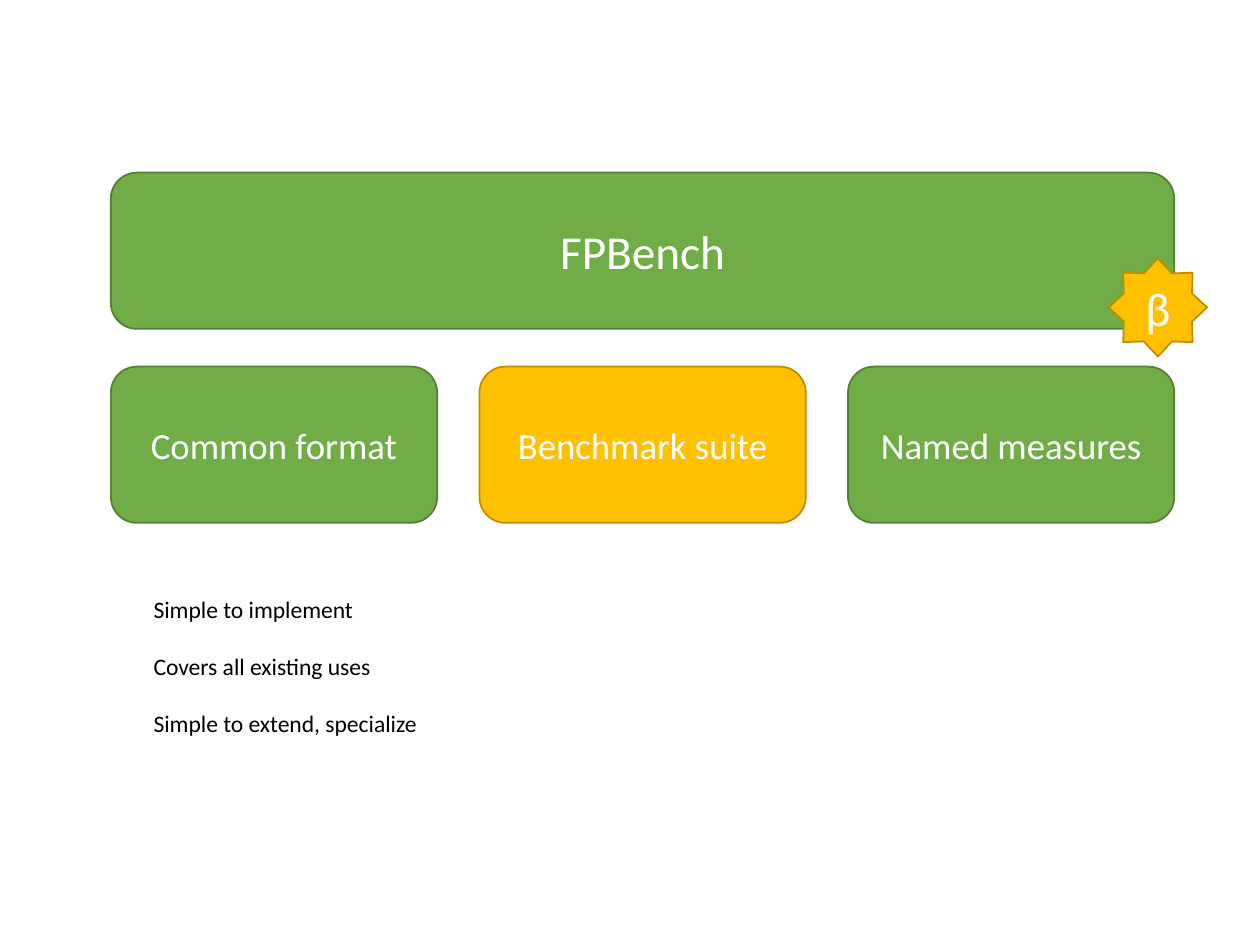
from pptx import Presentation
from pptx.dml.color import RGBColor
from pptx.enum.shapes import MSO_SHAPE as Preset
from pptx.enum.text import MSO_ANCHOR as Anchor, MSO_AUTO_SIZE as AutoSize, PP_ALIGN as Align
from pptx.util import Inches, Pt

GREEN = RGBColor(0x70, 0xAD, 0x47)
DARK_GREEN = RGBColor(0x53, 0x80, 0x35)
GOLD = RGBColor(0xFF, 0xC0, 0x00)
DARK_GOLD = RGBColor(0xBD, 0x8E, 0x00)
WHITE = RGBColor(0xFF, 0xFF, 0xFF)
BLACK = RGBColor(0x00, 0x00, 0x00)

DONE = (GREEN, DARK_GREEN)
BETA = (GOLD, DARK_GOLD)

LEFT = 0.88
COLUMN = 2.59
TOTAL = 8.44
PITCH = (TOTAL - COLUMN) / 2
ROW = 1.24
TITLE_TOP = 1.37
PARTS_TOP = 2.91
PARTS = [("Common format", DONE), ("Benchmark suite", BETA), ("Named measures", DONE)]
GOALS = ["Simple to implement", "Covers all existing uses", "Simple to extend, specialize"]


def write(paragraph, text, size, color=WHITE, align=Align.CENTER, spacing=1.0):
    paragraph.alignment = align
    paragraph.line_spacing = spacing
    run = paragraph.add_run()
    run.text = text
    run.font.name = "Calibri"
    run.font.size = Pt(size)
    run.font.color.rgb = color


def add_block(slide, preset, box, text, size, status):
    block = slide.shapes.add_shape(preset, *map(Inches, box))
    block.shadow.inherit = False
    fill, outline = status
    block.fill.solid()
    block.fill.fore_color.rgb = fill
    block.line.color.rgb = outline
    block.line.width = Pt(1)
    block.text_frame.vertical_anchor = Anchor.MIDDLE
    write(block.text_frame.paragraphs[0], text, size)


def add_goals(slide, box, goals):
    frame = slide.shapes.add_textbox(*map(Inches, box)).text_frame
    frame.word_wrap = False
    frame.auto_size = AutoSize.SHAPE_TO_FIT_TEXT
    for index, goal in enumerate(goals):
        paragraph = frame.add_paragraph() if index else frame.paragraphs[0]
        write(paragraph, goal, 13.5, color=BLACK, align=Align.LEFT, spacing=2.0)


def main():
    deck = Presentation()
    deck.slide_width, deck.slide_height = Inches(10), Inches(7.5)
    slide = deck.slides.add_slide(deck.slide_layouts[6])

    for column, (part, status) in enumerate(PARTS):
        box = (LEFT + column * PITCH, PARTS_TOP, COLUMN, ROW)
        add_block(slide, Preset.ROUNDED_RECTANGLE, box, part, 21, status)
    add_goals(slide, (1.12, 4.45, 2.32, 1.46), GOALS)
    add_block(slide, Preset.ROUNDED_RECTANGLE, (LEFT, TITLE_TOP, TOTAL, ROW), "FPBench", 27, DONE)
    add_block(slide, Preset.STAR_8_POINT, (8.8, 2.05, 0.78, 0.78), "β", 27, BETA)

    deck.save("out.pptx")


if __name__ == "__main__":
    main()
